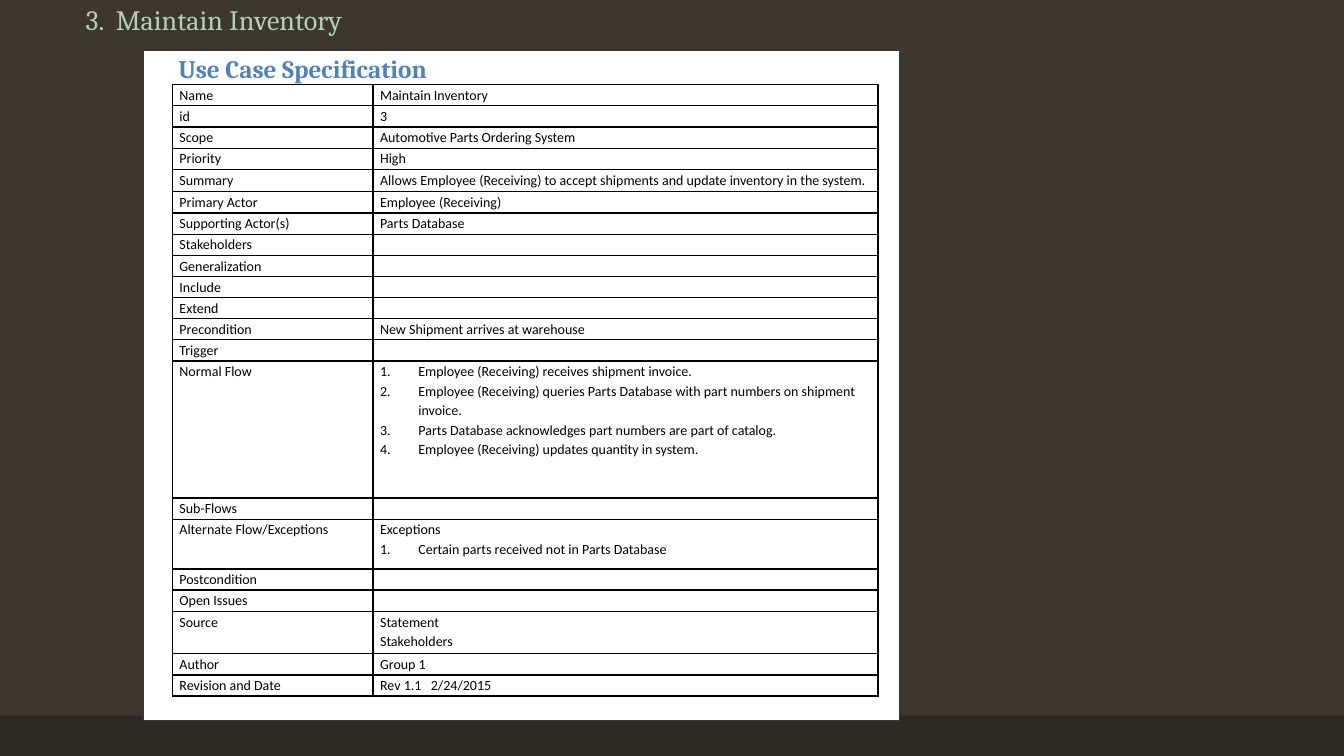
import dataclasses

import lxml.etree
import pptx
import pptx.dml.color
import pptx.enum.shapes
import pptx.enum.text
import pptx.oxml.ns
import pptx.util


@dataclasses.dataclass(frozen=True)
class Theme:
    background: str = "3D372E"
    footer: str = "2E2923"
    paper: str = "FFFFFF"
    title: str = "B2D0B4"
    heading: str = "4F81BD"
    ink: str = "000000"
    heading_font: str = "Cambria"
    body_font: str = "Calibri"
    title_size: int = 20
    heading_size: int = 18
    body_size: int = 10
    line_width: int = 1


@dataclasses.dataclass(frozen=True)
class Frame:
    """A rectangle in percent of the slide's width and height."""
    left: float
    top: float
    width: float
    height: float


@dataclasses.dataclass(frozen=True)
class Heading:
    text: str
    frame: Frame
    size: int
    color: str
    bold: bool
    wrap: bool
    line_spacing: float
    space_before: int
    anchor: pptx.enum.text.MSO_ANCHOR


@dataclasses.dataclass(frozen=True)
class Field:
    """One table row: plain lines, then numbered steps."""
    label: str
    lines: tuple[str, ...] = ()
    steps: tuple[str, ...] = ()
    height: float = 2.8


THEME = Theme()
SLIDE_WIDTH = pptx.util.Inches(13.33)
SLIDE_HEIGHT = pptx.util.Inches(7.5)
CELL_MARGIN = pptx.util.Inches(0.07)
STEP_INDENT = pptx.util.Inches(0.38)
BODY_SPACING = 1.15

FOOTER = Frame(0, 94.67, 100, 5.33)
PAPER = Frame(10.65, 6.67, 56.26, 88.67)
TABLE = Frame(12.83, 11.2, 52.5, 80.93)
COLUMNS = (14.93, 37.57)

HEADINGS = (
    Heading("3.  Maintain Inventory", Frame(5.63, 0, 32.48, 5.47), THEME.title_size,
            THEME.title, False, True, 0.9, 0, pptx.enum.text.MSO_ANCHOR.BOTTOM),
    Heading("Use Case Specification", Frame(12.53, 5.73, 20.71, 6), THEME.heading_size,
            THEME.heading, True, False, BODY_SPACING, 10, pptx.enum.text.MSO_ANCHOR.TOP),
)

FIELDS = (
    Field("Name", ("Maintain Inventory",)),
    Field("id", ("3",)),
    Field("Scope", ("Automotive Parts Ordering System",)),
    Field("Priority", ("High",)),
    Field("Summary", ("Allows Employee (Receiving) to accept shipments and update "
                      "inventory in the system.",), height=2.98),
    Field("Primary Actor", ("Employee (Receiving)",)),
    Field("Supporting Actor(s)", ("Parts Database",)),
    Field("Stakeholders"),
    Field("Generalization"),
    Field("Include"),
    Field("Extend"),
    Field("Precondition", ("New Shipment arrives at warehouse",)),
    Field("Trigger"),
    Field("Normal Flow", steps=(
        "Employee (Receiving) receives shipment invoice.",
        "Employee (Receiving) queries Parts Database with part numbers on shipment invoice.",
        "Parts Database acknowledges part numbers are part of catalog.",
        "Employee (Receiving) updates quantity in system.",
    ), height=18.13),
    Field("Sub-Flows"),
    Field("Alternate Flow/Exceptions", ("Exceptions",),
          ("Certain parts received not in Parts Database",), 6.58),
    Field("Postcondition"),
    Field("Open Issues"),
    Field("Source", ("Statement", "Stakeholders"), height=5.63),
    Field("Author", ("Group 1",)),
    Field("Revision and Date", ("Rev 1.1   2/24/2015",)),
)


def rgb(color: str) -> pptx.dml.color.RGBColor:
    return pptx.dml.color.RGBColor.from_string(color)


def across(percent: float) -> int:
    return round(SLIDE_WIDTH * percent / 100)


def down(percent: float) -> int:
    return round(SLIDE_HEIGHT * percent / 100)


def place(frame: Frame) -> tuple[int, int, int, int]:
    return across(frame.left), down(frame.top), across(frame.width), down(frame.height)


def add_element(parent, tag: str, **attributes: str):
    return lxml.etree.SubElement(parent, pptx.oxml.ns.qn(tag), attributes)


def style_font(font, name: str, size: int, color: str, bold: bool = False) -> None:
    font.name = name
    font.size = pptx.util.Pt(size)
    font.bold = bold
    font.color.rgb = rgb(color)


def add_panel(page, frame: Frame, fill: str, line: str | None = None) -> None:
    panel = page.shapes.add_shape(pptx.enum.shapes.MSO_SHAPE.RECTANGLE, *place(frame))
    panel.shadow.inherit = False
    panel.fill.solid()
    panel.fill.fore_color.rgb = rgb(fill)
    if line is None:
        panel.line.fill.background()
    else:
        panel.line.color.rgb = rgb(line)
        panel.line.width = pptx.util.Pt(THEME.line_width)


def add_heading(page, heading: Heading) -> None:
    text_frame = page.shapes.add_textbox(*place(heading.frame)).text_frame
    text_frame.word_wrap = heading.wrap
    text_frame.vertical_anchor = heading.anchor
    text_frame.text = heading.text
    para = text_frame.paragraphs[0]
    para.line_spacing = heading.line_spacing
    para.space_before = pptx.util.Pt(heading.space_before)
    style_font(para.runs[0].font, THEME.heading_font, heading.size, heading.color, heading.bold)


def number_paragraph(para) -> None:
    properties = para._p.get_or_add_pPr()
    properties.set("marL", str(STEP_INDENT))
    properties.set("indent", str(-STEP_INDENT))
    add_element(properties, "a:buFont", typeface="+mj-lt")
    add_element(properties, "a:buAutoNum", type="arabicPeriod")


def outline_cell(cell) -> None:
    properties = cell._tc.get_or_add_tcPr()
    for position, side in enumerate(("a:lnL", "a:lnR", "a:lnT", "a:lnB")):
        line = add_element(properties, side, w=str(pptx.util.Pt(THEME.line_width)))
        add_element(add_element(line, "a:solidFill"), "a:srgbClr", val=THEME.ink)
        properties.insert(position, line)


def fill_cell(cell, lines: tuple[str, ...], steps: tuple[str, ...] = ()) -> None:
    cell.margin_left = cell.margin_right = CELL_MARGIN
    cell.margin_top = cell.margin_bottom = 0
    cell.fill.background()
    outline_cell(cell)
    cell.text_frame.text = "\n".join(lines + steps)
    for index, para in enumerate(cell.text_frame.paragraphs):
        para.line_spacing = BODY_SPACING
        if steps and index >= len(lines):
            number_paragraph(para)
        for span in para.runs:
            style_font(span.font, THEME.body_font, THEME.body_size, THEME.ink)
        if not para.runs:
            add_element(para._p, "a:endParaRPr", sz=str(THEME.body_size * 100))


def add_specification(page) -> None:
    table = page.shapes.add_table(len(FIELDS), len(COLUMNS), *place(TABLE)).table
    table.first_row = table.horz_banding = False
    for column, width in zip(table.columns, COLUMNS):
        column.width = across(width)
    for row, field in zip(table.rows, FIELDS):
        row.height = down(field.height)
        fill_cell(row.cells[0], (field.label,))
        fill_cell(row.cells[1], field.lines, field.steps)


def main() -> None:
    deck = pptx.Presentation()
    deck.slide_width, deck.slide_height = SLIDE_WIDTH, SLIDE_HEIGHT
    page = deck.slides.add_slide(deck.slide_layouts[6])
    page.background.fill.solid()
    page.background.fill.fore_color.rgb = rgb(THEME.background)
    add_panel(page, FOOTER, THEME.footer)
    add_panel(page, PAPER, THEME.paper, THEME.background)
    add_specification(page)
    for heading in HEADINGS:
        add_heading(page, heading)
    deck.save("out.pptx")


if __name__ == "__main__":
    main()
